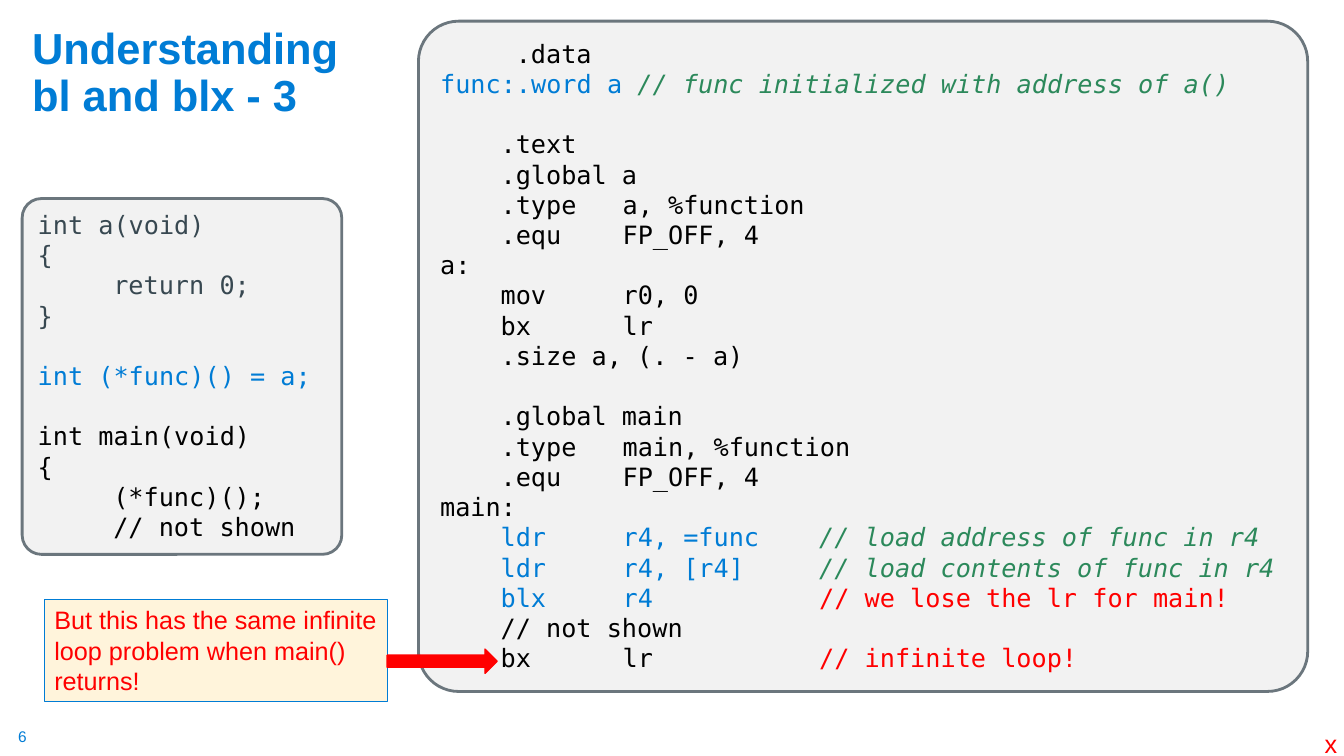
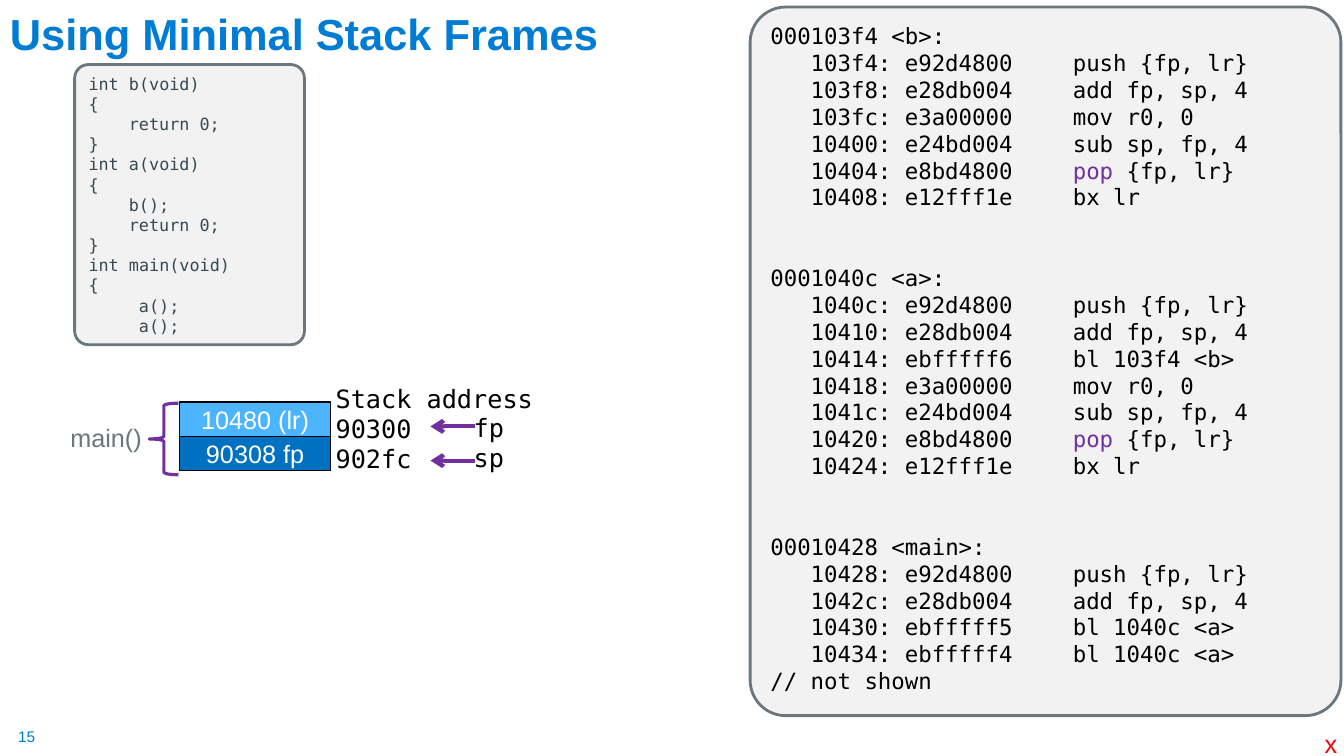
from lxml import etree
from pptx import Presentation
from pptx.dml.color import RGBColor
from pptx.enum import shapes, text
from pptx.oxml.ns import qn
from pptx.util import Emu, Pt

PX = 9144
LEADING = 1.2
SANS, MONO = "Arial", "DejaVu Sans Mono"
KIND = shapes.MSO_SHAPE
COLORS = {
    "blue": "007CD5", "slate": "384851", "black": "000000", "green": "2C895B",
    "red": "FF0000", "purple": "7030A0", "white": "FFFFFF", "gray": "6B767D",
    "panel": "F2F2F2", "cream": "FFF4DB", "sky": "4DB5FF", "deep": "0070C0",
}

POINTER_C = [
    [[("int a(void)", "slate")], [("{", "slate")], [("\treturn 0;", "slate")], [("}", "slate")]],
    [[("int (*func)() = a;", "blue")]],
    ["int main(void)", "{", "\t(*func)();", "\t// not shown"],
]
POINTER_ASM = [
    ["\t .data",
     [("func:.word a ", "blue"), ("// func initialized with address of a()", "green")]],
    ["\t.text", "\t.global a", "\t.type\ta, %function", "\t.equ\tFP_OFF, 4", "a:",
     "\tmov\tr0, 0", "\tbx\tlr", "\t.size a, (. - a)"],
    ["\t.global main", "\t.type\tmain, %function", "\t.equ\tFP_OFF, 4", "main:",
     [("\tldr\tr4, =func\t", "blue"), ("// load address of func in r4", "green")],
     [("\tldr\tr4, [r4]\t", "blue"), ("// load contents of func in r4", "green")],
     [("\tblx\tr4\t", "blue"), ("// we lose the lr for main!", "red")],
     "\t// not shown",
     [("\tbx\tlr\t", "black"), ("// infinite loop!", "red")]],
]
FRAMES_C = [[
    "int b(void)", "{", "\treturn 0;", "}",
    "int a(void)", "{", "\tb();", "\treturn 0;", "}",
    "int main(void)", "{", "\t a();", "\t a();",
]]
FRAMES_ASM = [
    ["000103f4 <b>:",
     "\t103f4: e92d4800\tpush {fp, lr}",
     "\t103f8: e28db004\tadd fp, sp, 4",
     "\t103fc: e3a00000\tmov r0, 0",
     "\t10400: e24bd004\tsub sp, fp, 4",
     [("\t10404: e8bd4800\t", "black"), ("pop", "purple"), (" {fp, lr}", "black")],
     "\t10408: e12fff1e\tbx lr"],
    ["0001040c <a>:",
     "\t1040c: e92d4800\tpush {fp, lr}",
     "\t10410: e28db004\tadd fp, sp, 4",
     "\t10414: ebfffff6\tbl 103f4 <b>",
     "\t10418: e3a00000\tmov r0, 0",
     "\t1041c: e24bd004\tsub sp, fp, 4",
     [("\t10420: e8bd4800\t", "black"), ("pop", "purple"), (" {fp, lr}", "black")],
     "\t10424: e12fff1e\tbx lr"],
    ["00010428 <main>:",
     "\t10428: e92d4800\tpush {fp, lr}",
     "\t1042c: e28db004\tadd fp, sp, 4",
     "\t10430: ebfffff5\tbl 1040c <a>",
     "\t10434: ebfffff4\tbl 1040c <a>",
     "// not shown"],
]
STACK = [("10480 (lr)", "sky"), ("90308 fp", "deep")]
STACK_LEFT, STACK_TOP, CELL_WIDTH, CELL_HEIGHT = 178, 399, 150, 34


def px(*lengths):
    return [Emu(length * PX) for length in lengths]


def rgb(name):
    return RGBColor.from_string(COLORS[name])


def write(box, blocks, size, font=SANS, color="black", gap=0, stops=(), bold=False,
          leading=LEADING, align=text.PP_ALIGN.LEFT, anchor=text.MSO_ANCHOR.TOP,
          insets=(10, 5, 10, 5), wrap=True):
    frame = box.text_frame
    frame.word_wrap = wrap
    frame.vertical_anchor = anchor
    (frame.margin_left, frame.margin_top,
     frame.margin_right, frame.margin_bottom) = px(*insets)
    lines = [(line, index > 0 and row == 0)
             for index, block in enumerate(blocks) for row, line in enumerate(block)]
    for number, (line, starts_block) in enumerate(lines):
        para = frame.add_paragraph() if number else frame.paragraphs[0]
        para.alignment = align
        para.line_spacing = Pt(size * leading)
        para.space_before = Pt(gap * size * leading if starts_block else 0)
        if stops:
            tabs = etree.SubElement(para._p.get_or_add_pPr(), qn("a:tabLst"))
            for stop in stops:
                etree.SubElement(tabs, qn("a:tab"), pos=str(stop * PX), algn="l")
        for words, tone in [(line, color)] if isinstance(line, str) else line:
            span = para.add_run()
            span.text = words
            span.font.name = font
            span.font.size = Pt(size)
            span.font.bold = bold
            span.font.italic = tone == "green"
            span.font.color.rgb = rgb(tone)


def add_shape(page, kind, at, fill, line, width):
    shape = page.shapes.add_shape(kind, *px(*at))
    shape.shadow.inherit = False
    if fill:
        shape.fill.solid()
        shape.fill.fore_color.rgb = rgb(fill)
    else:
        shape.fill.background()
    shape.line.color.rgb = rgb(line)
    shape.line.width = Pt(width)
    return shape


def add_label(page, at, lines, size, **style):
    box = page.shapes.add_textbox(*px(*at))
    write(box, [lines], size, **{"wrap": False, **style})


def add_code(page, at, blocks, size, stops, color="black", gap=1):
    panel = add_shape(page, KIND.ROUNDED_RECTANGLE, at, "panel", "gray", 2)
    panel.adjustments[0] = 0.06
    write(panel, blocks, size, MONO, color, gap, stops)


def add_arrow(page, left, right, y):
    arrow = page.shapes.add_connector(shapes.MSO_CONNECTOR.STRAIGHT, *px(right, y, left, y))
    arrow.line.color.rgb = rgb("purple")
    arrow.line.width = Pt(3)
    properties = arrow.element.spPr
    etree.SubElement(properties.find(qn("a:ln")), qn("a:tailEnd"), type="arrow")
    etree.SubElement(properties, qn("a:effectLst"))


def add_page(deck, title, title_at, number):
    page = deck.slides.add_slide(deck.slide_layouts[6])
    add_label(page, (18, 721, 19, 19), [number], 11, color="blue", insets=(0, 0, 0, 0))
    add_label(page, title_at, [title], 31, color="blue", bold=True, wrap=True,
              leading=LEADING * 0.9, anchor=text.MSO_ANCHOR.BOTTOM)
    add_label(page, (1304, 718, 33, 40), ["x"], 18, color="red")
    return page


def build_pointer_page(deck):
    page = add_page(deck, "Understanding bl and blx - 3", (22, 46, 339, 78), "6")
    add_code(page, (22, 197, 317, 353), POINTER_C, 18, [75])
    add_code(page, (415, 21, 882, 665), POINTER_ASM, 18, [60, 181, 376])
    callout = add_shape(page, KIND.RECTANGLE, (44, 595, 340, 101), "cream", "blue", 0.75)
    write(callout, [["But this has the same infinite loop problem when main() returns!"]],
          18, color="red", insets=(10, 5, 5, 5))
    add_shape(page, KIND.RIGHT_ARROW, (384, 644, 109, 24), "red", "red", 1)


def build_frames_page(deck):
    page = add_page(deck, "Using Minimal Stack Frames", (0, -14, 801, 78), "15")
    add_code(page, (74, 64, 228, 278), FRAMES_C, 12, [40], "slate")
    add_code(page, (744, 7, 586, 703), FRAMES_ASM, 16, [40, 300], gap=2)
    for row, (words, fill) in enumerate(STACK):
        top = STACK_TOP + row * CELL_HEIGHT
        cell = add_shape(page, KIND.RECTANGLE,
                         (STACK_LEFT, top, CELL_WIDTH, CELL_HEIGHT), fill, "black", 1)
        write(cell, [[words]], 18, color="white", align=text.PP_ALIGN.CENTER,
              anchor=text.MSO_ANCHOR.MIDDLE, insets=(0, 0, 0, 0))
        add_arrow(page, 427, 471, top + CELL_HEIGHT * 7 // 10 + 1)
    add_shape(page, KIND.LEFT_BRACE, (148, 400, 29, 71), None, "purple", 2.25)
    add_label(page, (60, 414, 92, 40), ["main()"], 18, color="gray")
    add_label(page, (323, 375, 218, 101), ["Stack address", "90300", "902fc"], 18, font=MONO)
    add_label(page, (460, 404, 51, 71), ["fp", "sp"], 18, font=MONO)


def main():
    deck = Presentation()
    deck.slide_width, deck.slide_height = px(1333, 750)
    build_pointer_page(deck)
    build_frames_page(deck)
    deck.save("out.pptx")


if __name__ == "__main__":
    main()
